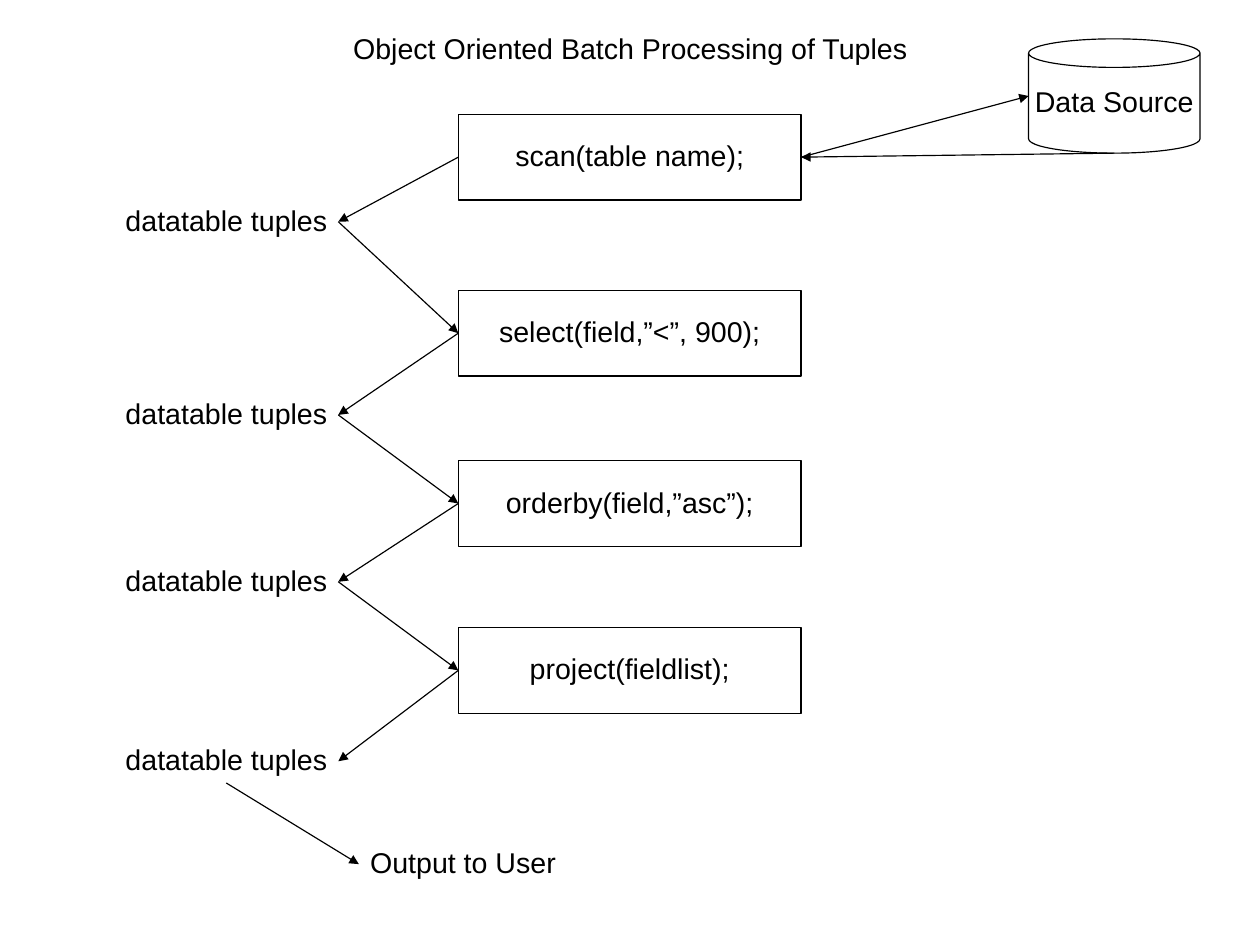
from dataclasses import dataclass
from itertools import chain, pairwise

from lxml.etree import SubElement
from pptx import Presentation
from pptx.dml.color import RGBColor
from pptx.enum.shapes import MSO_CONNECTOR, MSO_SHAPE
from pptx.enum.text import MSO_ANCHOR, MSO_AUTO_SIZE, PP_ALIGN
from pptx.oxml.ns import qn
from pptx.util import Emu, Inches, Pt


@dataclass(frozen=True)
class Theme:
    """Colours, font and sizes used on the slide."""
    ink: RGBColor = RGBColor(0, 0, 0)
    font: str = "Arial"
    size: float = 18
    line: float = 0.75
    spacing: float = 0.93


THEME = Theme()
TOP, LEFT, BOTTOM, RIGHT = range(4)
STEPS = [
    (1, "scan(table name);"),
    (2.54, "select(field,”<”, 900);"),
    (4.03, "orderby(field,”asc”);"),
    (5.49, "project(fieldlist);"),
]
TUPLE_TOPS = [1.75, 3.44, 4.9, 6.47]


def write(sp, text, align=PP_ALIGN.LEFT, anchor=MSO_ANCHOR.TOP, wrap=False):
    """Fill a shape with one styled paragraph."""
    tf = sp.text_frame
    tf.text = text
    tf.word_wrap = wrap
    tf.auto_size = MSO_AUTO_SIZE.NONE
    tf.vertical_anchor = anchor
    tf.margin_left = tf.margin_right = Inches(0.1)
    tf.margin_top = tf.margin_bottom = Inches(0.05)
    p = tf.paragraphs[0]
    p.alignment = align
    p.line_spacing = THEME.spacing
    font = p.runs[0].font
    font.name, font.size = THEME.font, Pt(THEME.size)
    font.color.rgb = THEME.ink


def add_title(s, box, text):
    """Place the slide title in its placeholder, on a single line."""
    sp = s.shapes.title
    sp.left, sp.top, sp.width, sp.height = map(Inches, box)
    write(sp, text)
    sp.text_frame.margin_right = 0


def add_label(s, box, text, wrap=False):
    """Add a plain text label."""
    sp = s.shapes.add_textbox(*map(Inches, box))
    write(sp, text, wrap=wrap)
    return sp


def add_node(s, kind, box, text):
    """Add an outlined shape with centred text."""
    sp = s.shapes.add_shape(kind, *map(Inches, box))
    sp.shadow.inherit = False
    sp.fill.background()
    sp.line.color.rgb = THEME.ink
    sp.line.width = Pt(THEME.line)
    write(sp, text, PP_ALIGN.CENTER, MSO_ANCHOR.MIDDLE)
    return sp


def side_point(sp, side):
    """Return the middle of one side of a shape."""
    dx, dy = {TOP: (1, 0), LEFT: (0, 1), BOTTOM: (1, 2), RIGHT: (2, 1)}[side]
    return sp.left + sp.width * dx // 2, sp.top + sp.height * dy // 2


def add_arrow(s, start, end, join_start=True, join_end=True):
    """Draw an arrow between two (shape, side) pairs."""
    c = s.shapes.add_connector(
        MSO_CONNECTOR.STRAIGHT, *side_point(*start), *side_point(*end))
    if join_start:
        c.begin_connect(*start)
    if join_end:
        c.end_connect(*end)
    c.line.color.rgb = THEME.ink
    c.line.width = Pt(THEME.line)
    SubElement(c.line._get_or_add_ln(), qn("a:tailEnd"), type="triangle")
    SubElement(c._element.spPr, qn("a:effectLst"))


def add_pipeline(s, step_left, tuples_left):
    """Add the steps and tuple labels, zigzag them, and return both lists."""
    steps = [add_node(s, MSO_SHAPE.RECTANGLE, (step_left, top, 3, 0.75), text)
             for top, text in STEPS]
    tuples = [add_label(s, (tuples_left, top, 1.96, 0.38), "datatable tuples")
              for top in TUPLE_TOPS]
    stops = chain.from_iterable(
        ((step, LEFT), (label, RIGHT)) for step, label in zip(steps, tuples))
    for start, end in pairwise(stops):
        add_arrow(s, start, end)
    return steps, tuples


def add_source(s, box, scan):
    """Add the data source and its exchange with the scan step."""
    source = add_node(s, MSO_SHAPE.CAN, box, "Data Source")
    add_arrow(s, (scan, RIGHT), (source, LEFT), join_end=False)
    add_arrow(s, (source, BOTTOM), (scan, RIGHT), join_start=False)


def add_output(s, box, last):
    """Add the output label, reached from the last tuples."""
    output = add_label(s, box, "Output to User", wrap=True)
    add_arrow(s, (last, BOTTOM), (output, LEFT))


def main():
    """Build and save the slide."""
    prs = Presentation()
    prs.slide_width, prs.slide_height = Emu(10080625), Emu(7559675)
    s = prs.slides.add_slide(prs.slide_layouts[5])
    add_title(s, (2.99, 0.25, 5.04, 0.38),
              "Object Oriented Batch Processing of Tuples")
    steps, tuples = add_pipeline(s, 4.01, 1)
    add_source(s, (9, 0.34, 1.5, 1), steps[0])
    add_output(s, (3.14, 7.37, 4.75, 0.38), tuples[-1])
    prs.save("out.pptx")


if __name__ == "__main__":
    main()
